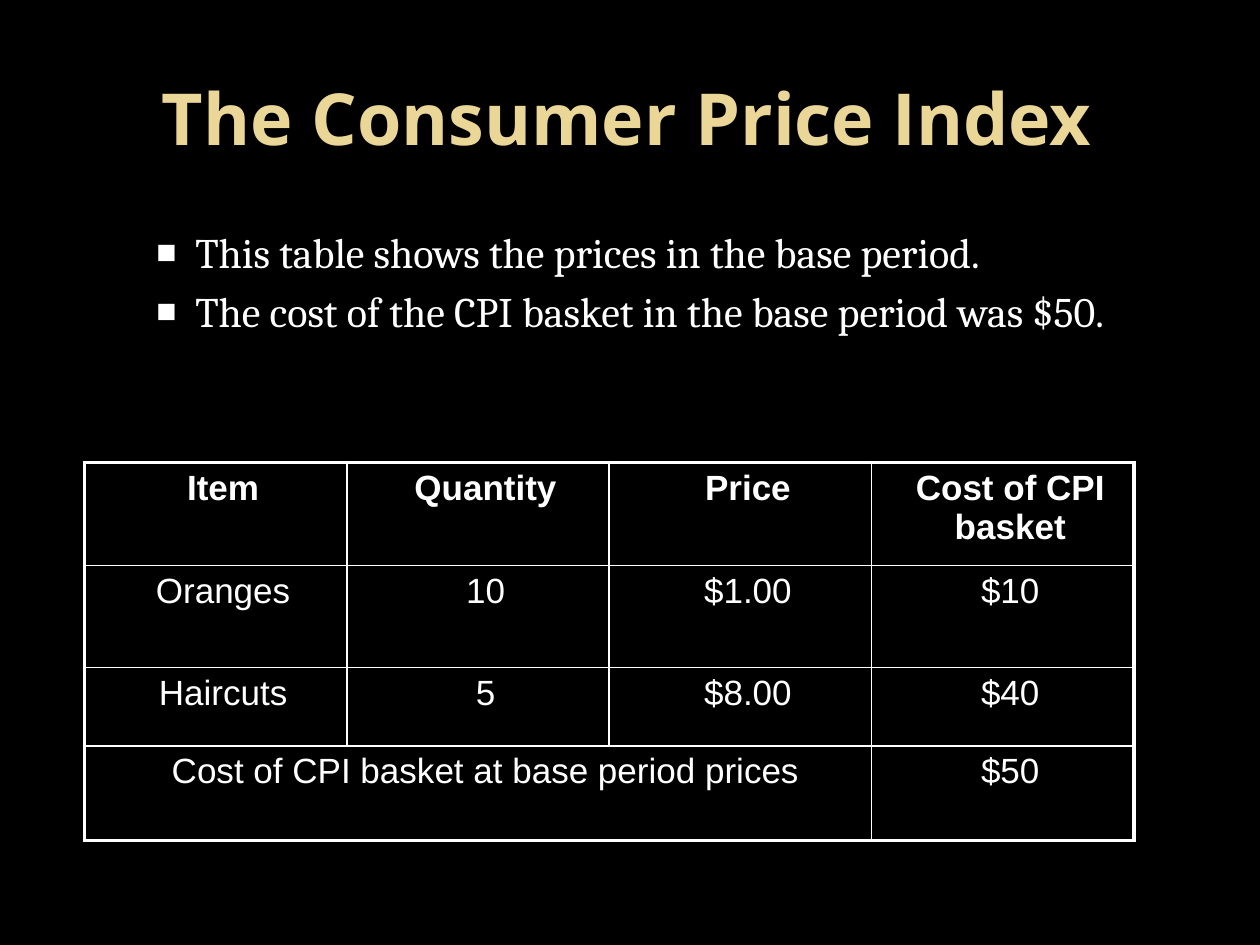
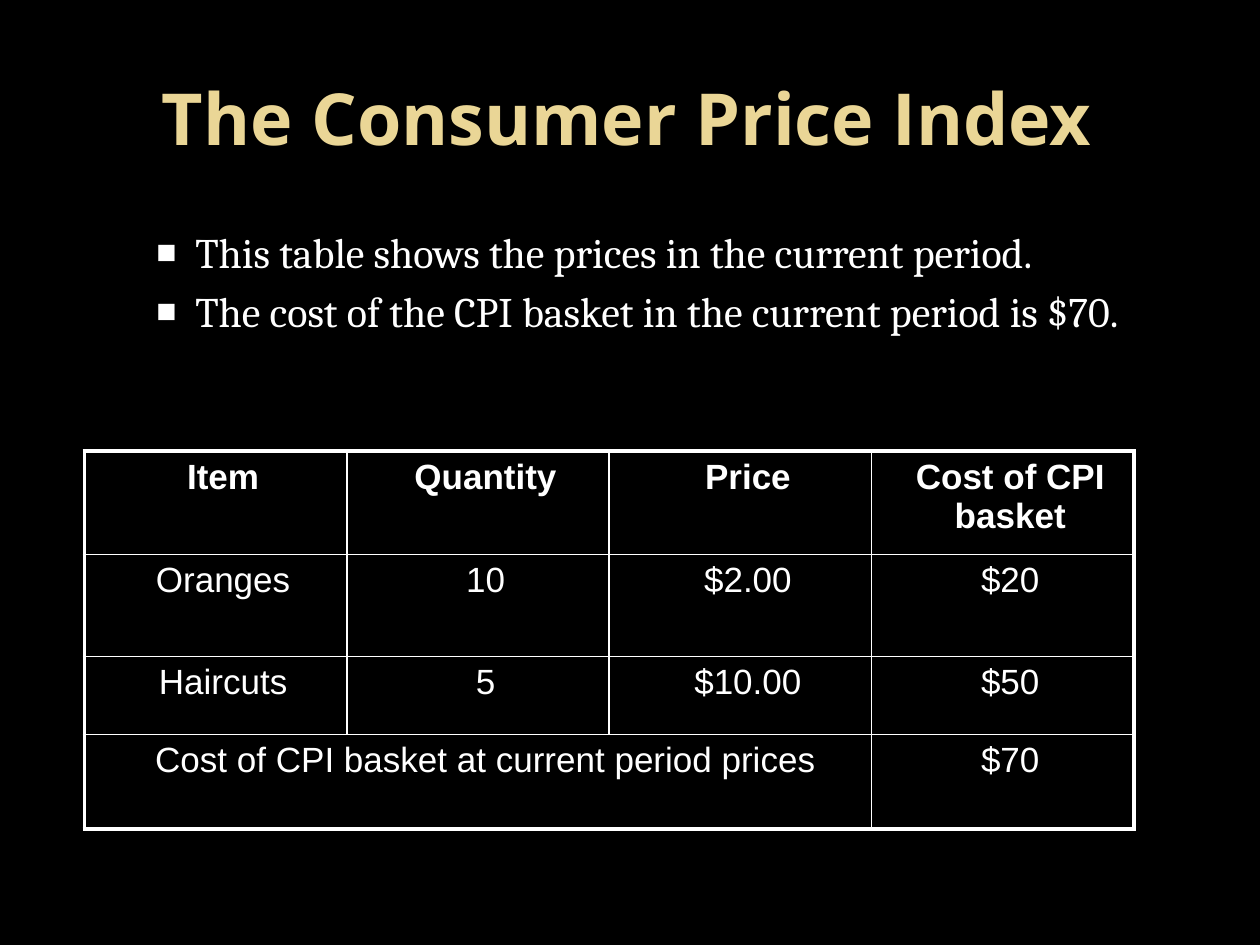
import dataclasses

import lxml.etree
import pptx
import pptx.dml.color
import pptx.enum.text
import pptx.oxml.ns
import pptx.util

TITLE = "The Consumer Price Index"
HEADINGS = ("Item", "Quantity", "Price", "Cost of CPI basket")
PERIODS = [
    {
        "bullets": ("This table shows the prices in the base period.",
                    "The cost of the CPI basket in the base period was $50."),
        "items": [("Oranges", "10", "$1.00", "$10"),
                  ("Haircuts", "5", "$8.00", "$40")],
        "total": ("Cost of CPI basket at base period prices", "$50"),
        "table_top": 3.67,
    },
    {
        "bullets": ("This table shows the prices in the current period.",
                    "The cost of the CPI basket in the current period is $70."),
        "items": [("Oranges", "10", "$2.00", "$20"),
                  ("Haircuts", "5", "$10.00", "$50")],
        "total": ("Cost of CPI basket at current period prices", "$70"),
        "table_top": 3.58,
    },
]


@dataclasses.dataclass(frozen=True)
class Theme:
    background: str = "000000"
    text: str = "FFFFFF"
    title_stops: tuple = ((0, "EAD696"), (73, "EAD696"), (100, "E7D081"))
    title_angle: int = 80
    title_font: str = "Open Sans"
    body_font: str = "Cambria"
    table_font: str = "Arial"
    title_size: int = 41
    body_size: int = 24
    table_size: int = 20
    outer_line: float = 2.25
    inner_line: float = 1
    spacing: int = 20


THEME = Theme()
SLIDE_SIZE = (10, 7.5)
TITLE_BOX = (0.48, 0.3, 9, 1.25)
BODY_BOX = (0.5, 1.75, 8.5, 1.67)
TABLE_LEFT, TABLE_WIDTH = 0.67, 8.33
ROW_HEIGHTS = (0.82, 0.81, 0.62, 0.75)
BULLET_INDENT = (0.95, -0.31)
CELL_INDENT = (0.12, 0)


def child(parent, tag, position=None, **attributes):
    """Add a drawing element to parent, at the end unless a position is given."""
    element = lxml.etree.Element(pptx.oxml.ns.qn("a:" + tag))
    for name, value in attributes.items():
        element.set(name, str(value))
    parent.insert(len(parent) if position is None else position, element)
    return element


def place(shape, box):
    shape.left, shape.top, shape.width, shape.height = map(pptx.util.Inches, box)


def add_span(para, text, font, size, bold=False):
    span = para.add_run()
    span.text = text
    span.font.name = font
    span.font.size = pptx.util.Pt(size)
    span.font.bold = bold
    span.font.color.rgb = pptx.dml.color.RGBColor.from_string(THEME.text)
    return span


def indent_and_space(para, indent, sides):
    """Set the indents, and spacing as a percentage of the line."""
    properties = para._p.get_or_add_pPr()
    for name, inches in zip(("marL", "indent"), indent):
        properties.set(name, str(pptx.util.Inches(inches)))
    for side in sides:
        child(child(properties, side), "spcPct", val=THEME.spacing * 1000)
    return properties


def fill_title(title):
    place(title, TITLE_BOX)
    frame = title.text_frame
    frame.vertical_anchor = pptx.enum.text.MSO_ANCHOR.MIDDLE
    frame.auto_size = pptx.enum.text.MSO_AUTO_SIZE.NONE
    para = frame.paragraphs[0]
    para.alignment = pptx.enum.text.PP_ALIGN.CENTER
    span = add_span(para, TITLE, THEME.title_font, THEME.title_size, True)
    span.font.fill.background()
    properties = span.font._element
    properties.remove(properties.find(pptx.oxml.ns.qn("a:noFill")))
    gradient = child(properties, "gradFill", 0)
    stops = child(gradient, "gsLst")
    for share, color in THEME.title_stops:
        child(child(stops, "gs", pos=share * 1000), "srgbClr", val=color)
    child(gradient, "lin", ang=THEME.title_angle * 60000, scaled=0)


def fill_bullets(body, bullets):
    place(body, BODY_BOX)
    frame = body.text_frame
    frame.auto_size = pptx.enum.text.MSO_AUTO_SIZE.NONE
    for number, text in enumerate(bullets):
        para = frame.add_paragraph() if number else frame.paragraphs[0]
        para.level = 1
        properties = indent_and_space(para, BULLET_INDENT, ("spcBef",))
        child(child(properties, "buClr"), "srgbClr", val=THEME.text)
        child(properties, "buSzPct", val=80000)
        child(properties, "buFont", typeface=THEME.table_font)
        child(properties, "buChar", char="■")
        add_span(para, text, THEME.body_font, THEME.body_size)


def draw_borders(cell, outer_edges):
    """Line all four edges, heavier where the edge is on the outside."""
    properties = cell._tc.get_or_add_tcPr()
    for position, (edge, is_outer) in enumerate(outer_edges.items()):
        width = THEME.outer_line if is_outer else THEME.inner_line
        line = child(properties, edge, position, w=pptx.util.Pt(width))
        child(child(line, "solidFill"), "srgbClr", val=THEME.text)


def add_price_table(page, period):
    label, cost = period["total"]
    rows = [HEADINGS, *period["items"], (label, "", "", cost)]
    last_row, last_column = len(rows) - 1, len(HEADINGS) - 1
    frame = page.shapes.add_table(
        len(rows), len(HEADINGS),
        *map(pptx.util.Inches, (TABLE_LEFT, period["table_top"],
                                TABLE_WIDTH, sum(ROW_HEIGHTS))))
    table = frame.table
    table.horz_banding = False
    for row, height in zip(table.rows, ROW_HEIGHTS):
        row.height = pptx.util.Inches(height)
    for r, texts in enumerate(rows):
        for c, text in enumerate(texts):
            cell = table.cell(r, c)
            cell.fill.background()
            draw_borders(cell, {"lnL": c == 0, "lnR": c == last_column,
                                "lnT": r == 0, "lnB": r == last_row})
            if text:
                para = cell.text_frame.paragraphs[0]
                para.alignment = pptx.enum.text.PP_ALIGN.CENTER
                indent_and_space(para, CELL_INDENT, ("spcBef", "spcAft"))
                add_span(para, text, THEME.table_font, THEME.table_size, r == 0)
    table.cell(last_row, 0).merge(table.cell(last_row, last_column - 1))


def main():
    deck = pptx.Presentation()
    deck.slide_width, deck.slide_height = map(pptx.util.Inches, SLIDE_SIZE)
    background = deck.slide_master.background.fill
    background.solid()
    background.fore_color.rgb = pptx.dml.color.RGBColor.from_string(THEME.background)
    for period in PERIODS:
        page = deck.slides.add_slide(deck.slide_layouts.get_by_name("Title and Content"))
        fill_title(page.shapes.title)
        fill_bullets(page.placeholders[1], period["bullets"])
        add_price_table(page, period)
    deck.save("out.pptx")


if __name__ == "__main__":
    main()
